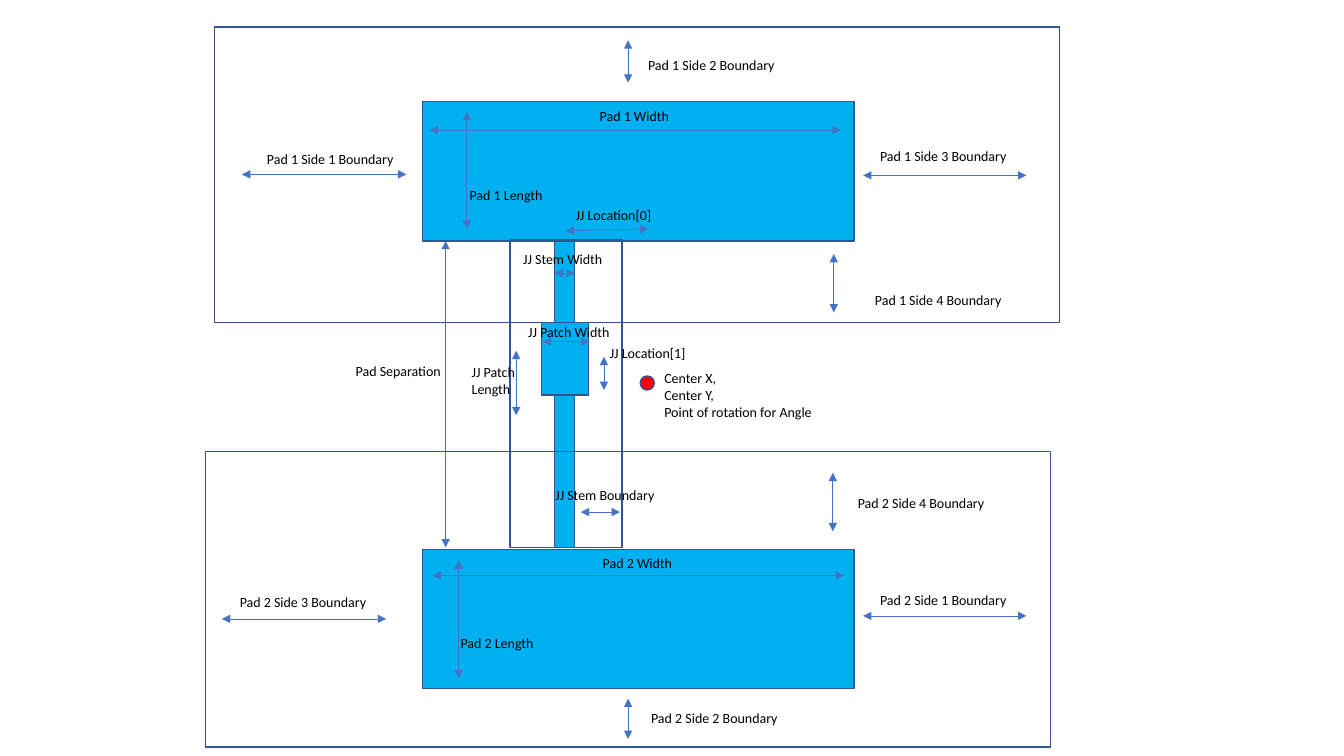
import pptx
import pptx.util
import pptx.dml.color
import pptx.enum.shapes
import pptx.enum.text
import pptx.oxml
import pptx.oxml.ns

PX = 9144  # EMU, 100 px to the inch
SLIDE_SIZE = (1333, 750)

PAD_BLUE = pptx.dml.color.RGBColor(0x00, 0xB0, 0xF0)
OUTLINE_BLUE = pptx.dml.color.RGBColor(0x32, 0x54, 0x91)
ARROW_BLUE = pptx.dml.color.RGBColor(0x44, 0x72, 0xC4)
CENTER_RED = pptx.dml.color.RGBColor(0xFF, 0x00, 0x00)
BLACK = pptx.dml.color.RGBColor(0x00, 0x00, 0x00)

FONT = {"name": "Calibri", "size": pptx.util.Pt(10)}
LABEL_FRAME = {
    "word_wrap": False,
    "auto_size": pptx.enum.text.MSO_AUTO_SIZE.SHAPE_TO_FIT_TEXT,
}

# Left, top, width, height
PADS = [(419, 101, 428, 138), (419, 545, 428, 138)]
STEMS = [(550, 239, 20, 81), (550, 392, 20, 151)]
PATCH = (537, 320, 47, 72)
BOUNDARIES = [(213, 27, 838, 293), (204, 448, 838, 293), (506, 238, 111, 305)]
CENTER_DOT = (635, 373, 14, 14)

# Label, its left, top, width, height, and its arrow: start x, y, end x, y
DIMENSIONS = [
    ("Pad 1 Side 1 Boundary", (255, 144, 147, 27), (240, 173, 403, 173)),
    ("Pad 1 Side 2 Boundary", (633, 51, 147, 27), (623, 82, 623, 40)),
    ("Pad 1 Side 3 Boundary", (863, 141, 147, 27), (856, 174, 1018, 174)),
    ("Pad 1 Side 4 Boundary", (858, 284, 147, 27), (827, 310, 827, 252)),
    ("Pad 2 Side 1 Boundary", (863, 582, 147, 27), (856, 611, 1018, 611)),
    ("Pad 2 Side 2 Boundary", (636, 699, 147, 27), (623, 733, 623, 693)),
    ("Pad 2 Side 3 Boundary", (228, 584, 147, 27), (220, 614, 383, 614)),
    ("Pad 2 Side 4 Boundary", (841, 486, 147, 27), (826, 527, 826, 469)),
    ("Pad 1 Length", (456, 180, 94, 27), (463, 227, 463, 111)),
    ("Pad 1 Width", (585, 102, 90, 27), (426, 129, 834, 129)),
    ("Pad 2 Length", (447, 625, 94, 27), (455, 673, 455, 556)),
    ("Pad 2 Width", (588, 545, 90, 27), (429, 571, 837, 571)),
    ("Pad Separation", (343, 355, 106, 27), (442, 543, 442, 239)),
    ("JJ Patch\nLength", (458, 356, 64, 44), (512, 412, 512, 348)),
    ("JJ Patch Width", (514, 316, 103, 27), (538, 339, 585, 339)),
    ("JJ Stem Width", (509, 244, 100, 27), (550, 271, 570, 271)),
    ("JJ Stem Boundary", (541, 478, 120, 27), (576, 508, 615, 508)),
    ("JJ Location[0]", (561, 200, 97, 27), (561, 229, 643, 227)),
    ("JJ Location[1]", (595, 337, 97, 27), (599, 354, 599, 387)),
]
CENTER_LABEL = (
    "Center X,\nCenter Y,\nPoint of rotation for Angle",
    (649, 362, 169, 61),
)


def to_emu(lengths):
    return [length * PX for length in lengths]


def apply_format(target, values):
    for name, value in values.items():
        setattr(target, name, value)


def add_outlined_shape(slide, kind, box, fill=None):
    shape = slide.shapes.add_shape(kind, *to_emu(box))
    shape.shadow.inherit = False
    if fill is None:
        shape.fill.background()
    else:
        shape.fill.solid()
        shape.fill.fore_color.rgb = fill
    shape.line.color.rgb = OUTLINE_BLUE
    shape.line.width = pptx.util.Pt(1)


def add_double_arrow(slide, ends):
    arrow = slide.shapes.add_connector(
        pptx.enum.shapes.MSO_CONNECTOR.STRAIGHT, *to_emu(ends)
    )
    arrow.line.color.rgb = ARROW_BLUE
    arrow.line.width = pptx.util.Pt(0.5)
    line = arrow.line._get_or_add_ln()
    for tag in ("a:headEnd", "a:tailEnd"):
        arrowhead = pptx.oxml.xmlchemy.OxmlElement(tag)
        arrowhead.set("type", "triangle")
        line.append(arrowhead)
    arrow._element.spPr.append(pptx.oxml.xmlchemy.OxmlElement("a:effectLst"))


def add_label(slide, text, box):
    frame = slide.shapes.add_textbox(*to_emu(box)).text_frame
    apply_format(frame, LABEL_FRAME)
    frame.text = text
    for paragraph in frame.paragraphs:
        for run in paragraph.runs:
            apply_format(run.font, FONT)
            run.font.color.rgb = BLACK


def main():
    presentation = pptx.Presentation()
    presentation.slide_width, presentation.slide_height = to_emu(SLIDE_SIZE)
    slide = presentation.slides.add_slide(presentation.slide_layouts[6])

    rectangle = pptx.enum.shapes.MSO_SHAPE.RECTANGLE
    for box in PADS + STEMS + [PATCH]:
        add_outlined_shape(slide, rectangle, box, PAD_BLUE)
    for box in BOUNDARIES:
        add_outlined_shape(slide, rectangle, box)
    add_outlined_shape(
        slide, pptx.enum.shapes.MSO_SHAPE.OVAL, CENTER_DOT, CENTER_RED
    )

    for text, box, ends in DIMENSIONS:
        add_double_arrow(slide, ends)
        add_label(slide, text, box)
    add_label(slide, *CENTER_LABEL)

    presentation.save("out.pptx")


if __name__ == "__main__":
    main()
